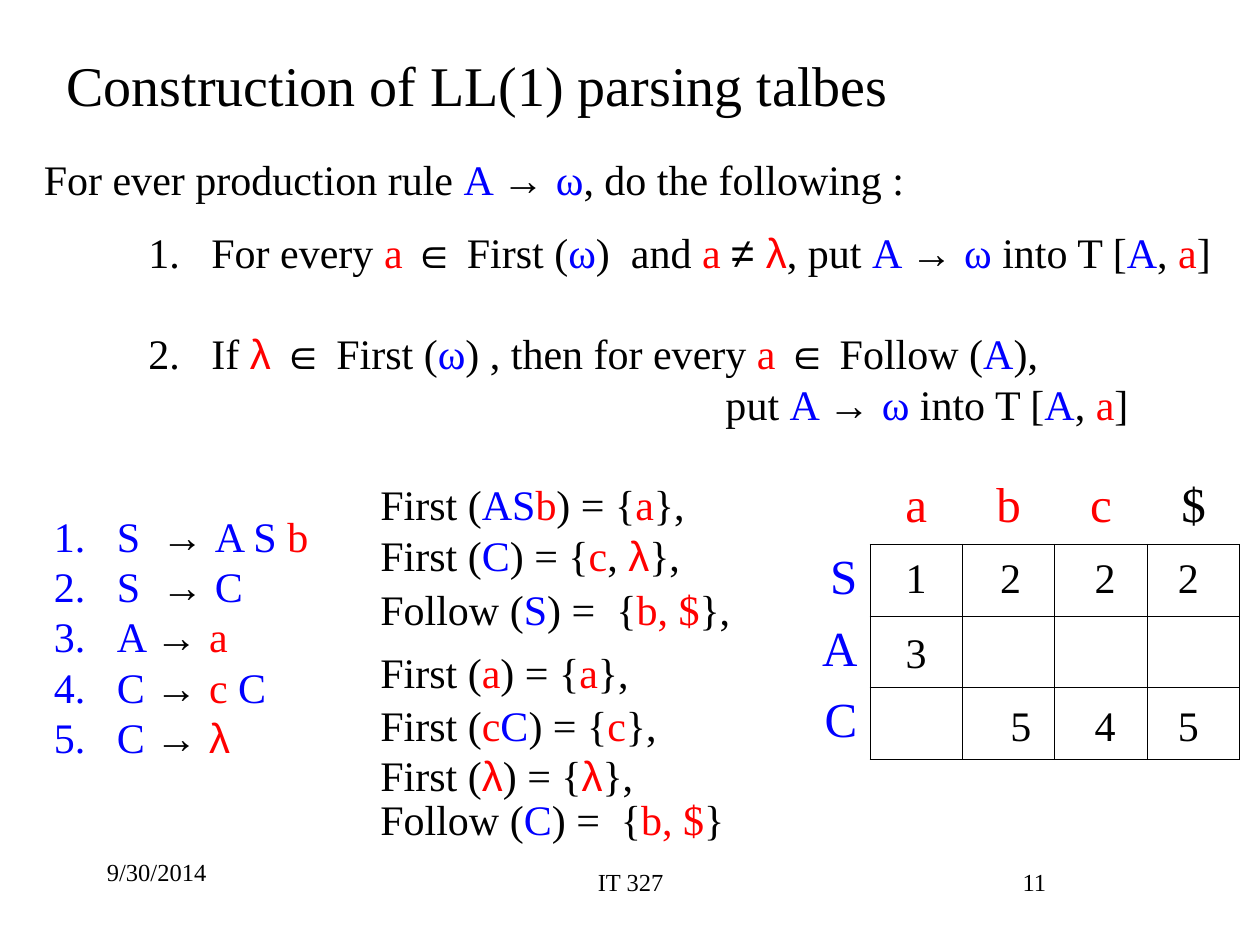
"""Build the slide on constructing LL(1) parsing tables."""
from dataclasses import dataclass
from itertools import product

from lxml import etree
from pptx import Presentation
from pptx import util as u
from pptx.dml.color import RGBColor
from pptx.enum import text
from pptx.oxml import ns

COLORS = {"black": "000000", "red": "FF0000", "blue": "0000FF"}
MARKS = {"~": "red", "^": "blue"}
SERIF, SANS = "Times New Roman", "Arial"
SYMBOLS = "→∈≠λ"
ALIGN = text.PP_ALIGN
BORDER_SIDES = ("L", "R", "T", "B")


@dataclass
class Line:
    """One paragraph, where ~ toggles red and ^ toggles blue."""

    words: str
    number: str = ""
    indent: float = 0
    before: float = 0
    align: ALIGN = ALIGN.LEFT
    size: float = 24


@dataclass
class Block:
    """A text box and its lines."""

    left: float
    top: float
    width: float
    height: float
    lines: list[Line]
    wrap: bool = True
    grow: bool = True
    anchor: text.MSO_ANCHOR = text.MSO_ANCHOR.TOP


def split_spans(words: str) -> list[tuple[str, str, str]]:
    """Split marked words into spans of wording, colour and font."""
    spans = []
    color, font = "black", SERIF
    for letter in words:
        if letter in MARKS:
            color = "black" if color == MARKS[letter] else MARKS[letter]
            continue
        if letter != " ":
            font = SANS if letter in SYMBOLS else SERIF
        if spans and spans[-1][1:] == (color, font):
            spans[-1] = (spans[-1][0] + letter, color, font)
        else:
            spans.append((letter, color, font))
    return spans


def add_number(para, color: str) -> None:
    """Give a paragraph an automatic number with a hanging indent."""
    props = para._p.get_or_add_pPr()
    props.set("marL", str(u.Inches(0.5)))
    props.set("indent", str(u.Inches(-0.5)))
    shade = etree.SubElement(props, ns.qn("a:buClr"))
    etree.SubElement(shade, ns.qn("a:srgbClr"), val=COLORS[color])
    etree.SubElement(props, ns.qn("a:buFont"), typeface=SERIF)
    etree.SubElement(props, ns.qn("a:buAutoNum"), type="arabicPeriod")


def write_line(para, line: Line) -> None:
    """Write one line into a paragraph."""
    para.alignment = line.align
    if line.before:
        para.space_before = u.Pt(line.before)
    if line.indent:
        para._p.get_or_add_pPr().set("marL", str(u.Inches(line.indent)))
    if line.number:
        add_number(para, line.number)
    para.font.size = u.Pt(line.size)
    for wording, color, font in split_spans(line.words):
        span = para.add_run()
        span.text = wording
        span.font.name = font
        span.font.color.rgb = RGBColor.from_string(COLORS[color])


def add_block(page, block: Block) -> None:
    """Draw a text box."""
    box = page.shapes.add_textbox(
        *map(u.Inches, (block.left, block.top, block.width, block.height)))
    frame = box.text_frame
    frame.word_wrap = block.wrap
    if block.grow:
        frame.auto_size = text.MSO_AUTO_SIZE.SHAPE_TO_FIT_TEXT
    frame.vertical_anchor = block.anchor
    for index, line in enumerate(block.lines):
        para = frame.add_paragraph() if index else frame.paragraphs[0]
        write_line(para, line)


def set_borders(cell, visible: str) -> None:
    """Draw thin black borders on the named sides and none elsewhere."""
    props = cell._tc.get_or_add_tcPr()
    for side in BORDER_SIDES:
        edge = etree.SubElement(props, ns.qn(f"a:ln{side}"), w=str(u.Pt(0.45)))
        if side in visible:
            fill = etree.SubElement(edge, ns.qn("a:solidFill"))
            etree.SubElement(fill, ns.qn("a:srgbClr"), val=COLORS["black"])
        else:
            etree.SubElement(edge, ns.qn("a:noFill"))


def add_parse_table(page, columns: list[str], rows: list[str]) -> None:
    """Draw the grid with terminals on top and nonterminals at the left."""
    height, width = len(rows) + 1, len(columns) + 1
    table = page.shapes.add_table(
        height, width, *map(u.Inches, (6.17, 3.75, 3.67, 2.28))).table
    table.first_row = table.horz_banding = False
    for row, column in product(range(height), range(width)):
        cell = table.cell(row, column)
        inner = "LRTB" if row and column else ""
        set_borders(cell, inner or ("B" if column else "R" if row else ""))
        cell.fill.background()
        para = cell.text_frame.paragraphs[0]
        if column and not row:
            write_line(para, Line(columns[column - 1], before=7,
                                  align=ALIGN.CENTER, size=28))
        elif row and not column:
            write_line(para, Line(rows[row - 1], before=7,
                                  align=ALIGN.RIGHT, size=28))


FOOTERS = [
    Block(0.75, 6.75, 2.08, 0.5, [Line("9/30/2014", size=14)], grow=False),
    Block(3.42, 6.83, 3.17, 0.5,
          [Line("IT 327", size=14, align=ALIGN.CENTER)], grow=False),
    Block(7.17, 6.83, 2.08, 0.5,
          [Line("11", size=14, align=ALIGN.CENTER)], grow=False),
]
TITLE = Block(0, 0.25, 7.58, 0.83,
              [Line("Construction of LL(1) parsing talbes",
                    align=ALIGN.CENTER, size=32)],
              grow=False, anchor=text.MSO_ANCHOR.MIDDLE)
RULES = [
    Block(1.08, 1.75, 8.64, 1.7, [
        Line("For every ~a ~∈ First (^ω^)  and ~a ~≠ ~λ~, put ^A ^→ ^ω^ "
             "into T [^A^, ~a~]", number="black"),
        Line("If ~λ ~∈ First (^ω^) , then for every ~a ~∈ Follow (^A^),",
             number="black", before=29),
        Line("put ^A ^→ ^ω^ into T [^A^, ~a~]", indent=4.58),
    ], wrap=False),
    Block(0.25, 1.17, 7.04, 0.5,
          [Line("For ever production rule ^A ^→ ^ω^, do the following :")],
          wrap=False),
]
PRODUCTIONS = ["^S  ^→ ^A S ^~b~", "^S  ^→ ^C^", "^A ^→ ~a~", "^C ^→ ~c ~^C^",
               "^C ^→ ~λ~"]
GRAMMAR = Block(0.33, 4, 2.23, 2.1,
                [Line(words, number="blue") for words in PRODUCTIONS],
                wrap=False)
SETS = [
    (3.75, ["First (^AS^~b~) = {~a~},", "First (^C^) = {~c~, ~λ~},"]),
    (4.58, ["Follow (^S^) =  {~b, $~},"]),
    (5.08, ["First (~a~) = {~a~},"]),
    (5.5, ["First (~c~^C^) = {~c~},", "First (~λ~) = {~λ~},"]),
    (6.25, ["Follow (^C^) =  {~b, $~}"]),
]
ENTRIES = [
    (4.33, {7.09: "1", 7.84: "2", 8.59: "2", 9.25: "2"}),
    (4.92, {7.09: "3"}),
    (5.5, {7.92: "5", 8.59: "4", 9.25: "5"}),
]


def main() -> None:
    """Assemble and save the deck."""
    deck = Presentation()
    deck.slide_width, deck.slide_height = u.Inches(10), u.Inches(7.5)
    page = deck.slides.add_slide(deck.slide_layouts[6])
    for block in [*FOOTERS, TITLE, *RULES, GRAMMAR]:
        add_block(page, block)
    add_parse_table(page, ["~a~", "~b~", "~c~", "$"], ["^S^", "^A^", "^C^"])
    for top, sets in SETS:
        add_block(page, Block(2.92, top, 3.08, 0.5 * len(sets),
                              [Line(words) for words in sets]))
    for top, entries in ENTRIES:
        for left, digit in entries.items():
            line = Line(digit, before=6, align=ALIGN.CENTER)
            add_block(page, Block(left, top, 0.36, 0.5, [line], wrap=False))
    deck.save("out.pptx")


if __name__ == "__main__":
    main()
